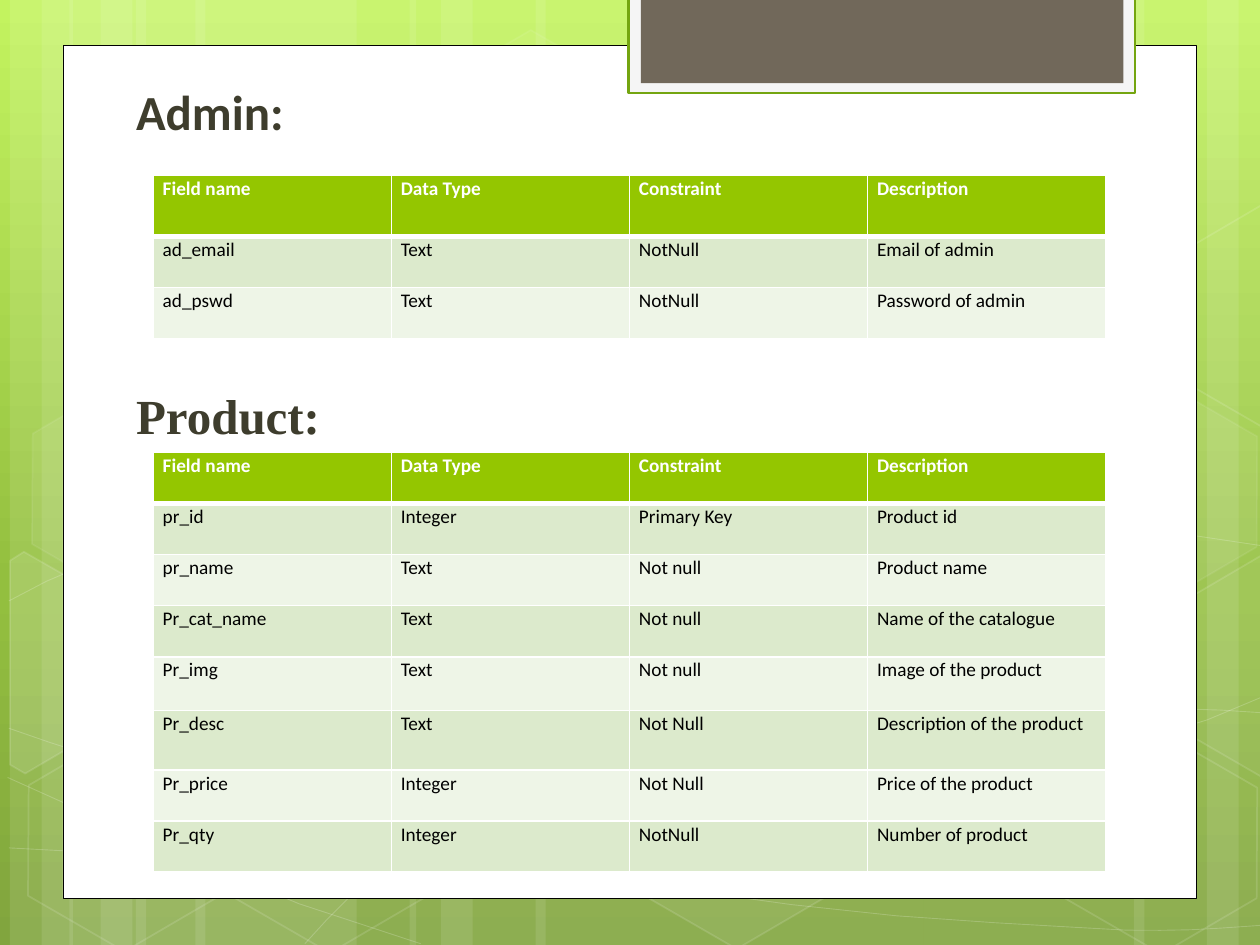
from copy import deepcopy
from pptx import Presentation
from pptx.dml.color import RGBColor as RGB
from pptx.enum.shapes import MSO_SHAPE as Geo
from pptx.enum.text import MSO_AUTO_SIZE as Fit, MSO_ANCHOR as Anchor
from pptx.oxml.ns import qn
from pptx.oxml.xmlchemy import OxmlElement as Node
from pptx.util import Cm, Pt

WHITE = RGB(0xFF, 0xFF, 0xFF)
BLACK = RGB(0, 0, 0)
TOP = RGB(0xC3, 0xF3, 0x5F)
MID = RGB(0x93, 0xBF, 0x3F)
LOW = RGB(0x81, 0xA5, 0x3E)
SMOKE = RGB(0xF5, 0xF5, 0xF5)
MOSS = RGB(0x74, 0xA5, 0x10)
TAUPE = RGB(0x71, 0x68, 0x5A)
INK = RGB(0x3E, 0x3D, 0x2D)
LIME = RGB(0x94, 0xC6, 0x00)
PALE = RGB(0xDC, 0xEA, 0xCC)
MIST = RGB(0xEE, 0xF5, 0xE7)


def paint(shape, fill=None, line=None, width=1, clear=100, faint=100):
    """Set fill and line; clear and faint are their opacities in percent."""
    shape.shadow.inherit = False
    if fill is None:
        shape.fill.background()
    else:
        shape.fill.solid()
        shape.fill.fore_color.rgb = fill
    if line is None:
        shape.line.fill.background()
    else:
        shape.line.color.rgb = line
        shape.line.width = Pt(width)
    for way, part in (("", clear), ("a:ln/", faint)):
        tint = shape._element.spPr.find(
            "/".join(qn(t) for t in (way + "a:solidFill/a:srgbClr").split("/")))
        if tint is not None and part < 100:
            alpha = Node("a:alpha")
            alpha.set("val", str(part * 1000))
            tint.append(alpha)


def trace(dots, close):
    """Draw an outline through points given in inches."""
    fine = [(x * 1000, y * 1000) for x, y in dots]
    pen = shapes.build_freeform(*fine[0], scale=Cm(2.54) / 1000)
    pen.add_line_segments(fine[1:], close=close)
    return pen.convert_to_shape()


deck = Presentation()
deck.slide_width, deck.slide_height = Cm(25.4), Cm(19.05)
slide = deck.slides.add_slide(deck.slide_layouts[1])
shapes = slide.shapes
title = shapes.title._element
title.getparent().remove(title)
body = slide.placeholders[1]

# Background gradient
back = slide.background.fill
back.gradient()
back.gradient_angle = 270
stops = next(slide._element.iter(qn("a:gsLst")))
stops.append(deepcopy(stops[0]))
for stop, tone, pos in zip(back.gradient_stops, (TOP, MID, LOW), (0, 0.62, 1)):
    stop.color.rgb = tone
    stop.position = pos

# Vertical light bands: left, width
bands = [(2.74, 4.45), (0.2, 1.27), (0.84, 2.11), (3.94, 4.45), (1.4, 1.27),
         (2.03, 2.11), (18.62, 4.45), (24.33, 1.27), (22.86, 2.11),
         (10.8, 7.82), (8.26, 1.27), (8.89, 2.11)]
for x, w in bands:
    band = shapes.add_shape(Geo.RECTANGLE, Cm(x), 0, Cm(w), deck.slide_height)
    paint(band, WHITE, clear=10)

# Thin waves: a start, then two handles and an end for each Bézier piece
waves = [
    [(0.07, 6.73), (0.61, 6.76), (1.15, 6.79), (1.9, 6.78), (2.65, 6.77),
     (3.58, 6.75), (4.58, 6.65), (5.58, 6.55), (7, 6.36), (7.92, 6.17),
     (8.83, 5.98), (9.77, 5.68), (10.07, 5.51)],
    [(0.07, 4.77), (0.36, 4.61), (0.65, 4.46), (1.21, 4.31), (1.78, 4.16),
     (2.59, 3.94), (3.47, 3.87), (4.36, 3.8), (5.44, 3.79), (6.54, 3.87),
     (7.64, 3.95), (9.47, 4.26), (10.07, 4.34)],
    [(0.06, 6.17), (1.27, 6.72), (2.47, 7.27), (3.34, 7.49)],
    [(0.07, 5.78), (0.38, 5.89), (0.7, 6), (1.28, 6.16), (1.86, 6.31),
     (2.73, 6.56), (3.57, 6.73), (4.4, 6.9), (5.45, 7.08), (6.28, 7.18),
     (7.11, 7.29), (8, 7.33), (8.53, 7.36), (9.05, 7.4), (9.19, 7.38),
     (9.45, 7.38), (9.71, 7.37), (9.89, 7.35), (10.07, 7.34)],
    [(2.42, 7.49), (2.6, 7.29), (2.78, 7.09), (3.02, 6.91), (3.26, 6.73),
     (3.6, 6.53), (3.88, 6.39), (4.16, 6.25), (4.33, 6.19), (4.7, 6.09),
     (5.06, 5.99), (5.73, 5.85), (6.08, 5.78), (6.44, 5.71), (6.49, 5.71),
     (6.8, 5.69), (7.11, 5.66), (7.6, 5.63), (7.94, 5.62), (8.29, 5.61),
     (8.86, 5.62), (8.86, 5.62), (9.3, 5.62), (9.7, 5.63), (10.06, 5.66)],
]
STEPS = 3
for wave in waves:
    dots = wave[:1]
    for i in range(0, len(wave) - 1, 3):
        for n in range(1, STEPS + 1):
            t = n / STEPS
            mix = ((1 - t) ** 3, 3 * t * (1 - t) ** 2, 3 * t * t * (1 - t), t ** 3)
            dots.append(tuple(sum(m * p[k] for m, p in zip(mix, wave[i:i + 4]))
                              for k in (0, 1)))
    paint(trace(dots, False), None, WHITE, 0.5, faint=20)

# Hexagons: left, top, fill and line opacity
hexes = [(8.48, 0.91, 4, 8), (12.62, 14.96, 6, 12), (0.28, 15.01, 0, 12),
         (0.36, 7.92, 7, 8), (4.42, 15.04, 0, 12), (19.13, 11.51, 10, 12),
         (21.18, 15.06, 0, 12), (21.18, 7.98, 7, 8)]
for x, y, clear, faint in hexes:
    hexa = shapes.add_shape(Geo.HEXAGON, Cm(x), Cm(y), Cm(4.45), Cm(3.87))
    hexa.adjustments[0] = 0.285
    hexa.rotation = 30
    paint(hexa, WHITE if clear else None, WHITE, 1, clear, faint)

# Hexagons cut by the slide edge
cuts = [
    ([(0.08, 4.45), (0.19, 4.38), (0.96, 4.82), (0.95, 5.7), (0.2, 6.14),
      (0.08, 6.07)], 10),
    ([(9.26, 4.85), (10.01, 4.41), (10.09, 4.46), (10.09, 6.13),
      (10.02, 6.17), (9.26, 5.73)], 4),
    ([(9.26, 2.07), (10.01, 1.63), (10.1, 1.68), (10.09, 3.35),
      (10.02, 3.39), (9.26, 2.95)], 0),
]
for dots, clear in cuts:
    paint(trace(dots, True), WHITE if clear else None, WHITE, 1, clear, 12)

# White panel and the tab at the top
panels = [(1.27, 0.91, 22.86, 17.2, WHITE, BLACK, 0.5),
          (12.67, -0.05, 10.21, 1.93, SMOKE, MOSS, 1.25),
          (12.92, -0.05, 9.73, 1.73, TAUPE, None, 0)]
for x, y, w, h, fill, line, width in panels:
    panel = shapes.add_shape(Geo.RECTANGLE, Cm(x), Cm(y), Cm(w), Cm(h))
    paint(panel, fill, line, width)

# Headings, in front of the panel
shapes._spTree.append(body._element)
body.left, body.top, body.width, body.height = Cm(2.28), Cm(1.52), Cm(21.01), Cm(16.41)
frame = body.text_frame
frame.auto_size = Fit.NONE
frame.vertical_anchor = Anchor.TOP
frame.text = "Admin:\nProduct:"
for para, face, gap in zip(frame.paragraphs, ("Calibri", "Times New Roman"), (0, 140)):
    para.space_before = Pt(gap)
    props = para._p.get_or_add_pPr()
    props.set("marL", str(Cm(0.97)))
    props.set("indent", str(-Cm(0.76)))
    props.append(Node("a:buNone"))
    para.font.name = face
    para.font.size = Pt(28)
    para.font.bold = True
    para.font.color.rgb = INK

# Tables: top, row heights, rows below the header
head = ("Field name", "Data Type", "Constraint", "Description")
tables = [
    (3.53, [1.24, 1.03, 1.03], [
        ("ad_email", "Text", "NotNull", "Email of admin"),
        ("ad_pswd", "Text", "NotNull", "Password of admin")]),
    (9.12, [1.03] * 4 + [1.08, 1.2, 1.03, 1.03], [
        ("pr_id", "Integer", "Primary Key", "Product id"),
        ("pr_name", "Text", "Not null", "Product name"),
        ("Pr_cat_name", "Text", "Not null", "Name of the catalogue"),
        ("Pr_img", "Text", "Not null", "Image of the product"),
        ("Pr_desc", "Text", "Not Null", "Description of the product"),
        ("Pr_price", "Integer", "Not Null", "Price of the product"),
        ("Pr_qty", "Integer", "NotNull", "Number of product")]),
]
for top, highs, rows in tables:
    grid = shapes.add_table(len(highs), 4, Cm(3.09), Cm(top), Cm(19.2), Cm(sum(highs))).table
    for col in grid.columns:
        col.width = Cm(4.8)
    for r, (high, row) in enumerate(zip(highs, [head] + rows)):
        grid.rows[r].height = Cm(high)
        for c, text in enumerate(row):
            cell = grid.cell(r, c)
            cell.text = text
            cell.margin_left = cell.margin_right = Cm(0.19)
            cell.margin_top = cell.margin_bottom = 0
            # White borders, thick under the header
            for side in "LRTB":
                thick = (r, side) in ((0, "B"), (1, "T"))
                edge = Node("a:ln" + side)
                edge.set("w", str(Pt(3 if thick else 1)))
                solid, tint = Node("a:solidFill"), Node("a:srgbClr")
                tint.set("val", str(WHITE))
                solid.append(tint)
                edge.append(solid)
                cell._tc.get_or_add_tcPr().append(edge)
            cell.fill.solid()
            cell.fill.fore_color.rgb = LIME if r == 0 else PALE if r % 2 else MIST
            para = cell.text_frame.paragraphs[0]
            para.line_spacing = 1.07
            para.font.name = "Calibri"
            para.font.size = Pt(11)
            para.font.bold = r == 0
            para.font.color.rgb = WHITE if r == 0 else BLACK

deck.save("out.pptx")
